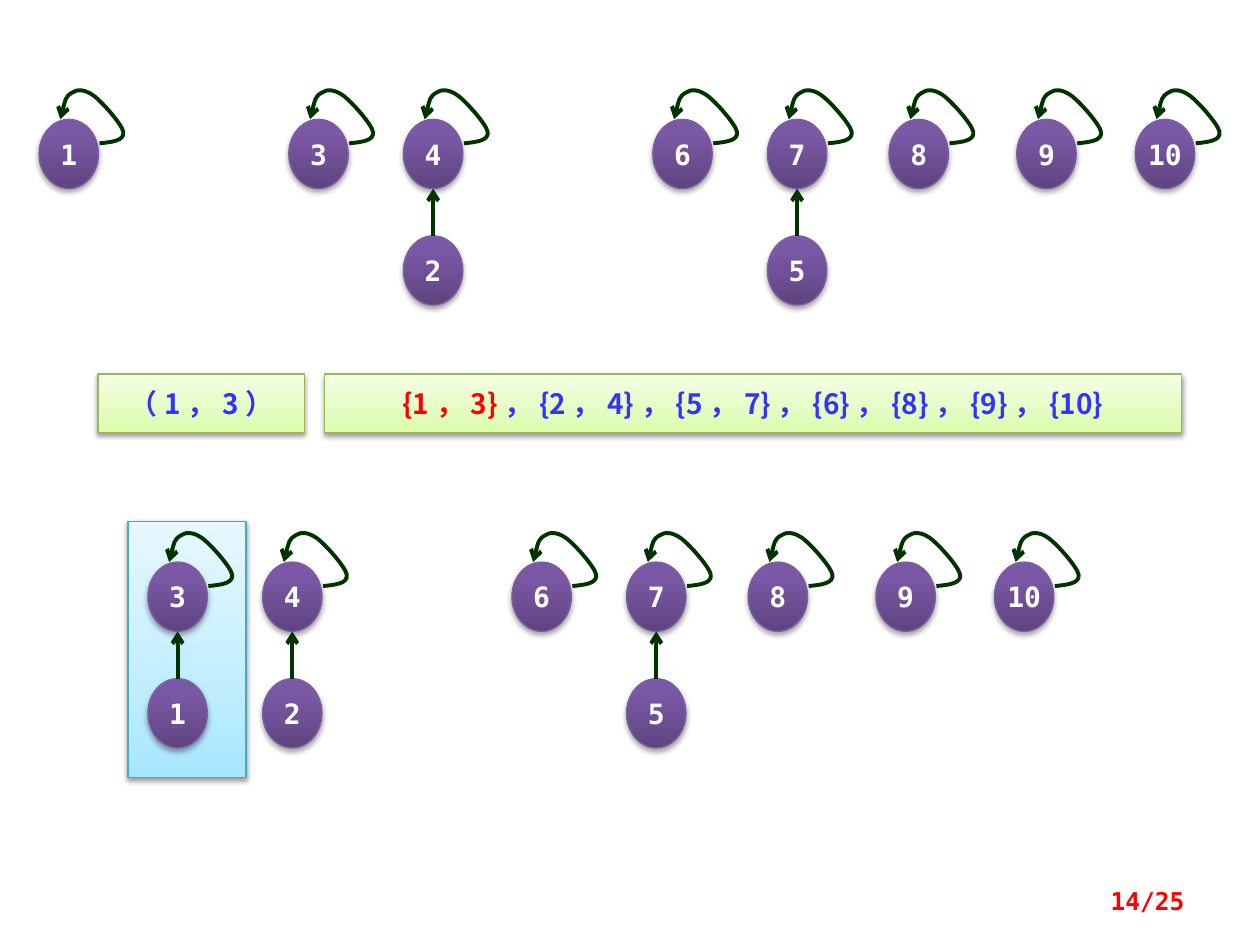
from copy import deepcopy

from lxml import etree
from pptx import Presentation
from pptx.dml.color import RGBColor
from pptx.enum.shapes import MSO_CONNECTOR, MSO_SHAPE
from pptx.enum.text import MSO_ANCHOR, PP_ALIGN
from pptx.oxml.ns import qn
from pptx.util import Pt

RECTANGLE, OVAL = MSO_SHAPE.RECTANGLE, MSO_SHAPE.OVAL
STRAIGHT = MSO_CONNECTOR.STRAIGHT
MIDDLE = MSO_ANCHOR.MIDDLE
CENTER, RIGHT = PP_ALIGN.CENTER, PP_ALIGN.RIGHT

WHITE = RGBColor(0xFF, 0xFF, 0xFF)
RED = RGBColor(0xFF, 0x00, 0x00)
BLUE = RGBColor(0x33, 0x33, 0xFF)
DARK_GREEN = RGBColor(0x00, 0x33, 0x00)
MONO, CJK = "DejaVu Sans Mono", "Noto Sans CJK SC"

# Looks: gradient stops run from bottom to top
PURPLE_LOOK = {
    "stops": [(0, RGBColor(0x5F, 0x44, 0x80)), (0.8, RGBColor(0x7B, 0x58, 0xA6)),
              (1, RGBColor(0x7C, 0x57, 0xA8))],
    "line": RGBColor(0x7D, 0x60, 0xA0), "shadow": (1.8, 35)}
GREEN_LOOK = {
    "stops": [(0, RGBColor(0xDA, 0xFD, 0xA7)), (0.35, RGBColor(0xE4, 0xFC, 0xC2)),
              (1, RGBColor(0xF5, 0xFF, 0xE7))],
    "line": RGBColor(0x98, 0xB9, 0x55), "shadow": (1.6, 38)}
CYAN_LOOK = {
    "stops": [(0, RGBColor(0xA7, 0xE6, 0xFF)), (0.35, RGBColor(0xC1, 0xED, 0xFF)),
              (1, RGBColor(0xE7, 0xF8, 0xFF))],
    "line": RGBColor(0x46, 0xAA, 0xC5), "shadow": (1.6, 38)}

# Content: forests as root -> child, in columns shared by both
COLUMNS = {1: 22.3, 3: 165, 4: 230.5, 6: 373, 7: 438.5, 8: 508, 9: 581, 10: 648.7}
FORESTS = [
    {"shift": (0, 0),
     "trees": {1: None, 3: None, 4: 2, 6: None, 7: 5, 8: None, 9: None, 10: None}},
    {"shift": (-80.5, 253),
     "trees": {3: 1, 4: 2, 6: None, 7: 5, 8: None, 9: None, 10: None}},
]
PANELS = [
    ((56, 213.8, 118.2, 33.6), [("（1，3）", BLUE)]),
    ((185.4, 213.8, 489.6, 33.6),
     [("{1，3}", RED), ("，{2，4}，{5，7}，{6}，{8}，{9}，{10}", BLUE)]),
]
HIGHLIGHT_BOX = (73.1, 297.9, 67.5, 146.4)
PAGE_BOX = (516.2, 500.4, 167.8, 28.8)

NODE_WIDTH, NODE_HEIGHT = 34, 39.6
ROOT_TOP, CHILD_TOP = 68.2, 134.8
# Start and Bezier points of a root's loop, from the node's top left corner
LOOP_POINTS = [(34.6, 13.7), (41.8, 13), (49, 12.2), (48.2, 7.2), (47.5, 2.9),
               (36, -10.1), (31, -13.7), (25.9, -17.3), (21.6, -17.3),
               (18.7, -15.1), (15.1, -13), (13.7, -6.5), (12.2, 0)]

presentation = Presentation()
presentation.slide_width, presentation.slide_height = Pt(720), Pt(540)
slide = presentation.slides.add_slide(presentation.slide_layouts[6])


def write(shape, runs, font_name, size, alignment, side_margin=7.2):
    frame = shape.text_frame
    frame_format = {"word_wrap": True, "vertical_anchor": MIDDLE,
                    "margin_left": Pt(side_margin), "margin_right": Pt(side_margin)}
    for name, value in frame_format.items():
        setattr(frame, name, value)
    paragraph = frame.paragraphs[0]
    paragraph.alignment = alignment
    for text, color in runs:
        run = paragraph.add_run()
        run.text = text
        for name, value in {"name": font_name, "size": Pt(size), "bold": True}.items():
            setattr(run.font, name, value)
        run.font.color.rgb = color
        east_asian = etree.SubElement(run.font._element, qn("a:ea"))
        east_asian.set("typeface", font_name)


def add_block(kind, box, look):
    shape = slide.shapes.add_shape(kind, *map(Pt, box))
    shape.fill.gradient()
    shape.fill.gradient_angle = 90
    properties = shape.element.spPr
    stop_list = properties.find(".//" + qn("a:gsLst"))
    stop_list.append(deepcopy(stop_list[0]))
    for stop, (position, color) in zip(shape.fill.gradient_stops, look["stops"]):
        stop.position = position
        stop.color.rgb = color
    shape.line.color.rgb = look["line"]
    shape.line.width = Pt(0.75)
    # Soft shadow straight below
    shape.shadow.inherit = False
    distance, opacity = look["shadow"]
    shadow = etree.SubElement(properties.find(qn("a:effectLst")), qn("a:outerShdw"),
                              blurRad=str(Pt(3.1)), dist=str(Pt(distance)),
                              dir="5400000", rotWithShape="0")
    black = etree.SubElement(shadow, qn("a:srgbClr"), val="000000")
    etree.SubElement(black, qn("a:alpha"), val=str(opacity * 1000))
    return shape


def style_arrow(shape):
    shape.line.color.rgb = DARK_GREEN
    shape.line.width = Pt(2.25)
    properties = shape.element.spPr
    etree.SubElement(properties.find(qn("a:ln")), qn("a:tailEnd"), type="arrow")
    if properties.find(qn("a:effectLst")) is None:
        etree.SubElement(properties, qn("a:effectLst"))


def add_node(label, left, top):
    node = add_block(OVAL, (left, top, NODE_WIDTH, NODE_HEIGHT), PURPLE_LOOK)
    write(node, [(str(label), WHITE)], MONO, 16, CENTER, side_margin=0)


def add_loop(left, top):
    points = [(Pt(left + x), Pt(top + y)) for x, y in LOOP_POINTS]
    builder = slide.shapes.build_freeform(*points[0])
    builder.add_line_segments(points[1:], close=False)
    loop = builder.convert_to_shape()
    # Every three points make one Bezier segment
    outline = loop.element.spPr.find(".//" + qn("a:path"))
    segments = outline.findall(qn("a:lnTo"))
    for start in range(0, len(segments), 3):
        curve = etree.SubElement(outline, qn("a:cubicBezTo"))
        for segment in segments[start:start + 3]:
            curve.append(segment[0])
            outline.remove(segment)
    loop.fill.background()
    loop.shadow.inherit = False
    style_arrow(loop)


# Highlight and set panels
add_block(RECTANGLE, HIGHLIGHT_BOX, CYAN_LOOK)
for box, runs in PANELS:
    write(add_block(RECTANGLE, box, GREEN_LOOK), runs, CJK, 16, CENTER)

# Forests before and after the union
for forest in FORESTS:
    shift_x, shift_y = forest["shift"]
    for root, child in forest["trees"].items():
        left, top = COLUMNS[root] + shift_x, ROOT_TOP + shift_y
        add_node(root, left, top)
        add_loop(left, top)
        if child is not None:
            child_top = CHILD_TOP + shift_y
            add_node(child, left, child_top)
            middle = Pt(left + NODE_WIDTH / 2)
            style_arrow(slide.shapes.add_connector(
                STRAIGHT, middle, Pt(child_top), middle, Pt(top + NODE_HEIGHT)))

# Page number
write(slide.shapes.add_textbox(*map(Pt, PAGE_BOX)), [("14/25", RED)], MONO, 14, RIGHT)

presentation.save("out.pptx")
